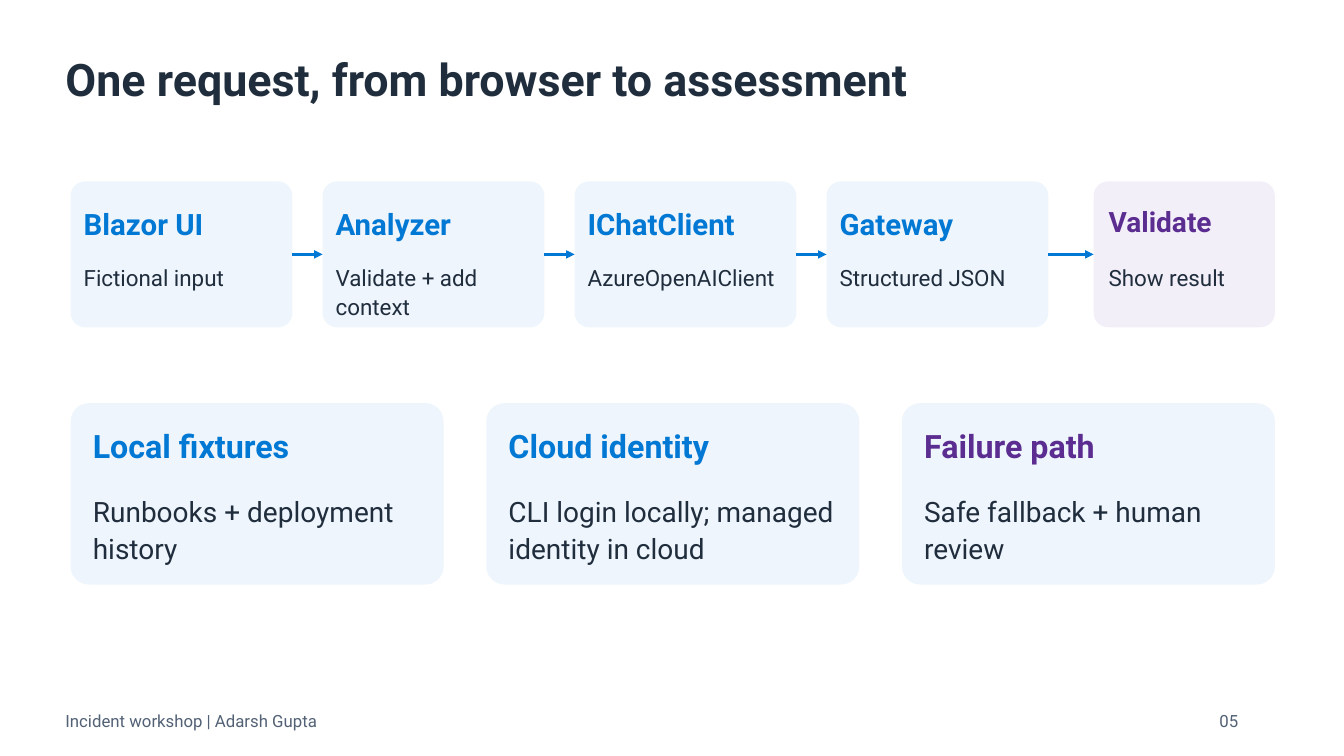
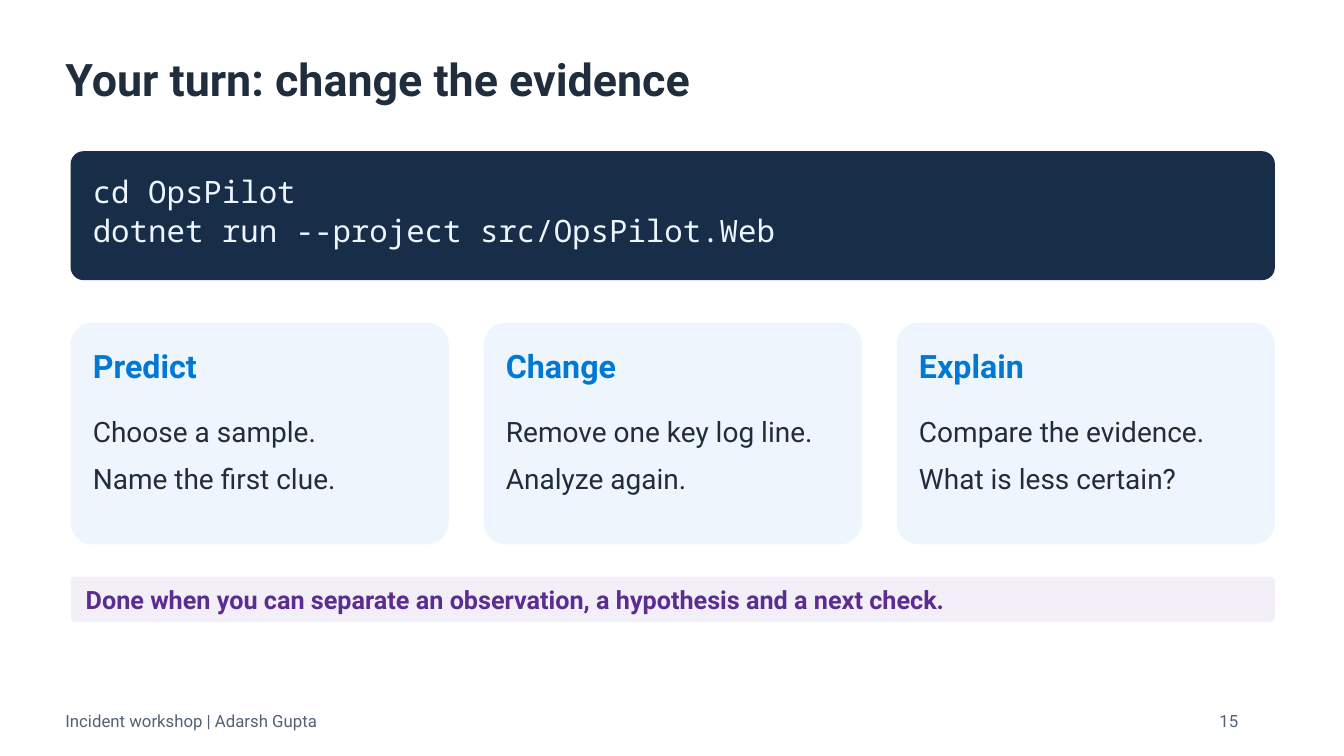
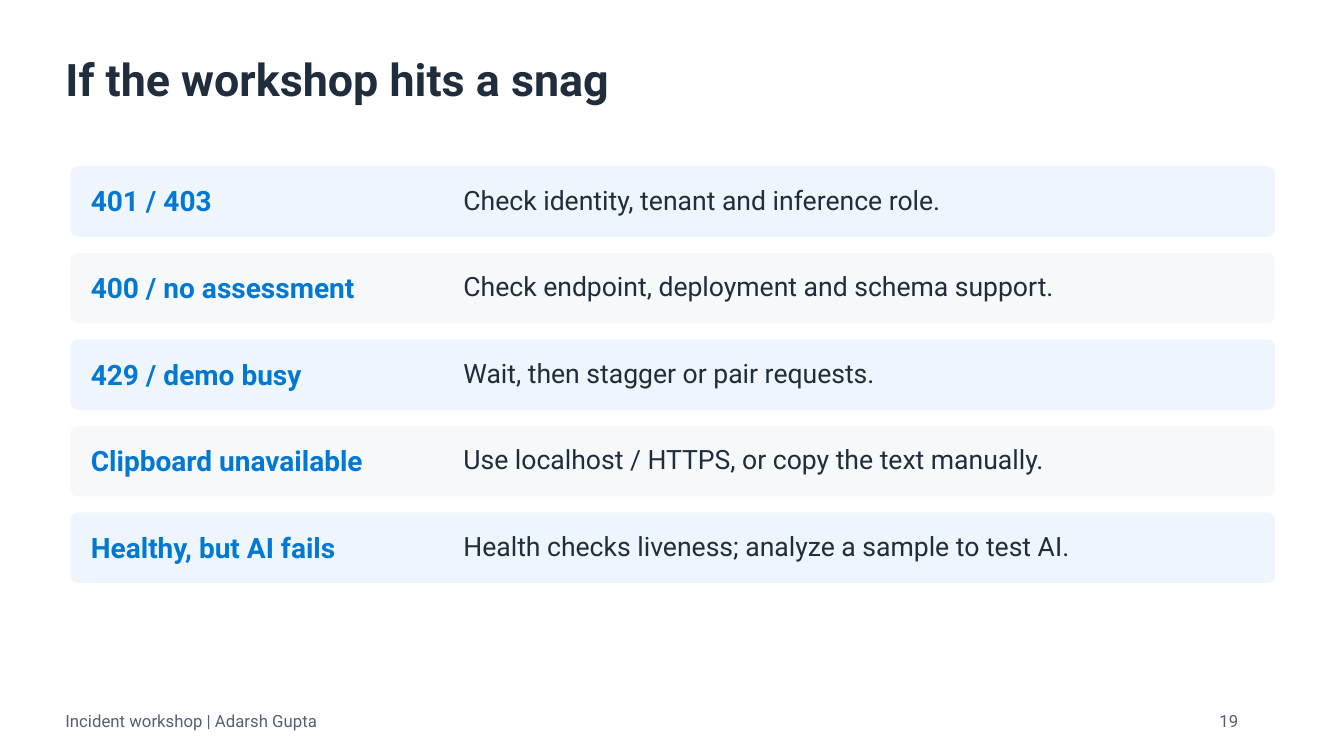
from dataclasses import dataclass
from itertools import pairwise

from lxml import etree
from pptx import Presentation
from pptx.dml.color import RGBColor
from pptx.enum.shapes import MSO_CONNECTOR, MSO_SHAPE
from pptx.enum.text import MSO_ANCHOR, MSO_AUTO_SIZE, PP_ALIGN
from pptx.oxml.ns import qn
from pptx.util import Cm, Pt

ROUNDED = MSO_SHAPE.ROUNDED_RECTANGLE
STRAIGHT = MSO_CONNECTOR.STRAIGHT
LEFT = PP_ALIGN.LEFT
TOP = MSO_ANCHOR.TOP
FIXED = MSO_AUTO_SIZE.NONE
LEFT_SITE, RIGHT_SITE = 1, 3


@dataclass(frozen=True)
class Theme:
    ink: str = "202D3D"
    muted: str = "526175"
    blue: str = "0078D4"
    purple: str = "5C2D91"
    pale_blue: str = "EEF5FC"
    pale_purple: str = "F3EFF9"
    pale_gray: str = "F7F8FA"
    navy: str = "182D48"
    code_ink: str = "EDF5FF"
    font: str = "Roboto"
    code_font: str = "Noto Sans Mono"
    title: int = 32
    card_heading: int = 23
    code: int = 22
    step_heading: int = 21
    body: int = 20
    answer: int = 19
    banner: int = 18
    step_body: int = 16
    footer: int = 12


theme = Theme()
MARGIN, CONTENT_WIDTH = 1.78, 30.35
FOOTER_LEFT, FOOTER_TOP = 1.65, 17.88


def write(text, *, slide, box, size, color=theme.ink, bold=False, font=theme.font,
          line_spacing=1.08, space_after=8, shape=None):
    if shape is None:
        shape = slide.shapes.add_textbox(0, 0, 0, 0)
    shape.left, shape.top, shape.width, shape.height = map(Cm, box)
    frame = shape.text_frame
    frame.margin_left = frame.margin_right = frame.margin_top = frame.margin_bottom = 0
    frame.word_wrap = True
    frame.auto_size = FIXED
    frame.vertical_anchor = TOP
    frame.text = text
    for paragraph in frame.paragraphs:
        paragraph.alignment = LEFT
        paragraph.line_spacing = line_spacing
        paragraph.space_after = Pt(space_after)
        for run in paragraph.runs:
            run.font.name = font
            run.font.size = Pt(size)
            run.font.bold = bold
            run.font.color.rgb = RGBColor.from_string(color)


def add_panel(slide, box, fill):
    panel = slide.shapes.add_shape(ROUNDED, *map(Cm, box))
    panel.adjustments[0] = 0.1
    panel.shadow.inherit = False
    panel.fill.solid()
    panel.fill.fore_color.rgb = RGBColor.from_string(fill)
    panel.line.fill.background()
    return panel


presentation = Presentation()
presentation.slide_width = Cm(33.87)
presentation.slide_height = Cm(19.05)
title_only = presentation.slide_layouts[5]

slides = []
for title, number in [
    ("One request, from browser to assessment", "05"),
    ("Your turn: change the evidence", "15"),
    ("If the workshop hits a snag", "19"),
]:
    slide = presentation.slides.add_slide(title_only)
    write(title, slide=slide, box=(FOOTER_LEFT, 1.19, 30.53, 1.9),
          size=theme.title, bold=True, shape=slide.shapes.title)
    write("Incident workshop | Adarsh Gupta", slide=slide,
          box=(FOOTER_LEFT, FOOTER_TOP, 25.4, 0.76), size=theme.footer, color=theme.muted)
    write(number, slide=slide, box=(30.73, FOOTER_TOP, 1.52, 0.76),
          size=theme.footer, color=theme.muted)
    slides.append(slide)
request_slide, exercise_slide, snag_slide = slides

STEP_TOP, STEP_HEIGHT, STEP_WIDTH, STEP_PITCH = 4.57, 3.68, 5.59, 6.35
steps = [
    (MARGIN + index * STEP_PITCH, STEP_WIDTH, 0.33, 0.56, heading, body,
     theme.step_heading, theme.blue, theme.pale_blue)
    for index, (heading, body) in enumerate([
        ("Blazor UI", "Fictional input"),
        ("Analyzer", "Validate + add context"),
        ("IChatClient", "AzureOpenAIClient"),
        ("Gateway", "Structured JSON"),
    ])
]
steps.append((27.56, 4.57, 0.38, 0.51, "Validate", "Show result",
              theme.body, theme.purple, theme.pale_purple))

step_panels = []
for left, width, padding, heading_offset, heading, body, size, color, fill in steps:
    step_panels.append(add_panel(request_slide, (left, STEP_TOP, width, STEP_HEIGHT), fill))
    text_left, text_width = left + padding, width - 2 * padding
    write(heading, slide=request_slide,
          box=(text_left, STEP_TOP + heading_offset, text_width, 1.02),
          size=size, color=color, bold=True)
    write(body, slide=request_slide, box=(text_left, STEP_TOP + 2.03, text_width, 1.27),
          size=theme.step_body)

for source, target in pairwise(step_panels):
    arrow = request_slide.shapes.add_connector(STRAIGHT, 0, 0, 0, 0)
    arrow.begin_connect(source, RIGHT_SITE)
    arrow.end_connect(target, LEFT_SITE)
    arrow.line.color.rgb = RGBColor.from_string(theme.blue)
    arrow.line.width = Pt(2)
    etree.SubElement(arrow.line._get_or_add_ln(), qn("a:tailEnd"), type="triangle")
    etree.SubElement(arrow._element.spPr, qn("a:effectLst"))

add_panel(exercise_slide, (MARGIN, 3.81, CONTENT_WIDTH, 3.25), theme.navy)
write("cd OpsPilot\ndotnet run --project src/OpsPilot.Web", slide=exercise_slide,
      box=(2.34, 4.32, 29.24, 2.36), size=theme.code, color=theme.code_ink,
      font=theme.code_font, line_spacing=Pt(27.5), space_after=0)

CARD_PADDING = 0.56
card_rows = [
    (request_slide, 10.16, 9.4, 4.57, [
        ("Local fixtures", "Runbooks + deployment history", theme.blue),
        ("Cloud identity", "CLI login locally; managed identity in cloud", theme.blue),
        ("Failure path", "Safe fallback + human review", theme.purple),
    ]),
    (exercise_slide, 8.13, 9.53, 5.59, [
        ("Predict", "Choose a sample.\nName the first clue.", theme.blue),
        ("Change", "Remove one key log line.\nAnalyze again.", theme.blue),
        ("Explain", "Compare the evidence.\nWhat is less certain?", theme.blue),
    ]),
]
for slide, top, width, height, cards in card_rows:
    pitch = (CONTENT_WIDTH - width) / (len(cards) - 1)
    for index, (heading, body, color) in enumerate(cards):
        left = MARGIN + index * pitch
        text_left, text_width = left + CARD_PADDING, width - 2 * CARD_PADDING
        add_panel(slide, (left, top, width, height), theme.pale_blue)
        write(heading, slide=slide, box=(text_left, top + 0.51, text_width, 1.27),
              size=theme.card_heading, color=color, bold=True)
        write(body, slide=slide, box=(text_left, top + 2.24, text_width, height - 2.62),
              size=theme.body)

add_panel(exercise_slide, (MARGIN, 14.53, CONTENT_WIDTH, 1.14), theme.pale_purple)
write("Done when you can separate an observation, a hypothesis and a next check.",
      slide=exercise_slide, box=(2.16, 14.66, 29.46, 0.84),
      size=theme.banner, color=theme.purple, bold=True)

SNAG_TOP, SNAG_PITCH = 4.19, 2.18
snags = [
    ("401 / 403", "Check identity, tenant and inference role."),
    ("400 / no assessment", "Check endpoint, deployment and schema support."),
    ("429 / demo busy", "Wait, then stagger or pair requests."),
    ("Clipboard unavailable", "Use localhost / HTTPS, or copy the text manually."),
    ("Healthy, but AI fails", "Health checks liveness; analyze a sample to test AI."),
]
for index, (symptom, answer) in enumerate(snags):
    top = SNAG_TOP + index * SNAG_PITCH
    fill = theme.pale_gray if index % 2 else theme.pale_blue
    add_panel(snag_slide, (MARGIN, top, CONTENT_WIDTH, 1.78), fill)
    write(symptom, slide=snag_slide, box=(2.29, top + 0.38, 8.76, 1.02),
          size=theme.body, color=theme.blue, bold=True)
    write(answer, slide=snag_slide, box=(11.68, top + 0.38, 19.81, 1.02), size=theme.answer)

presentation.save("out.pptx")
